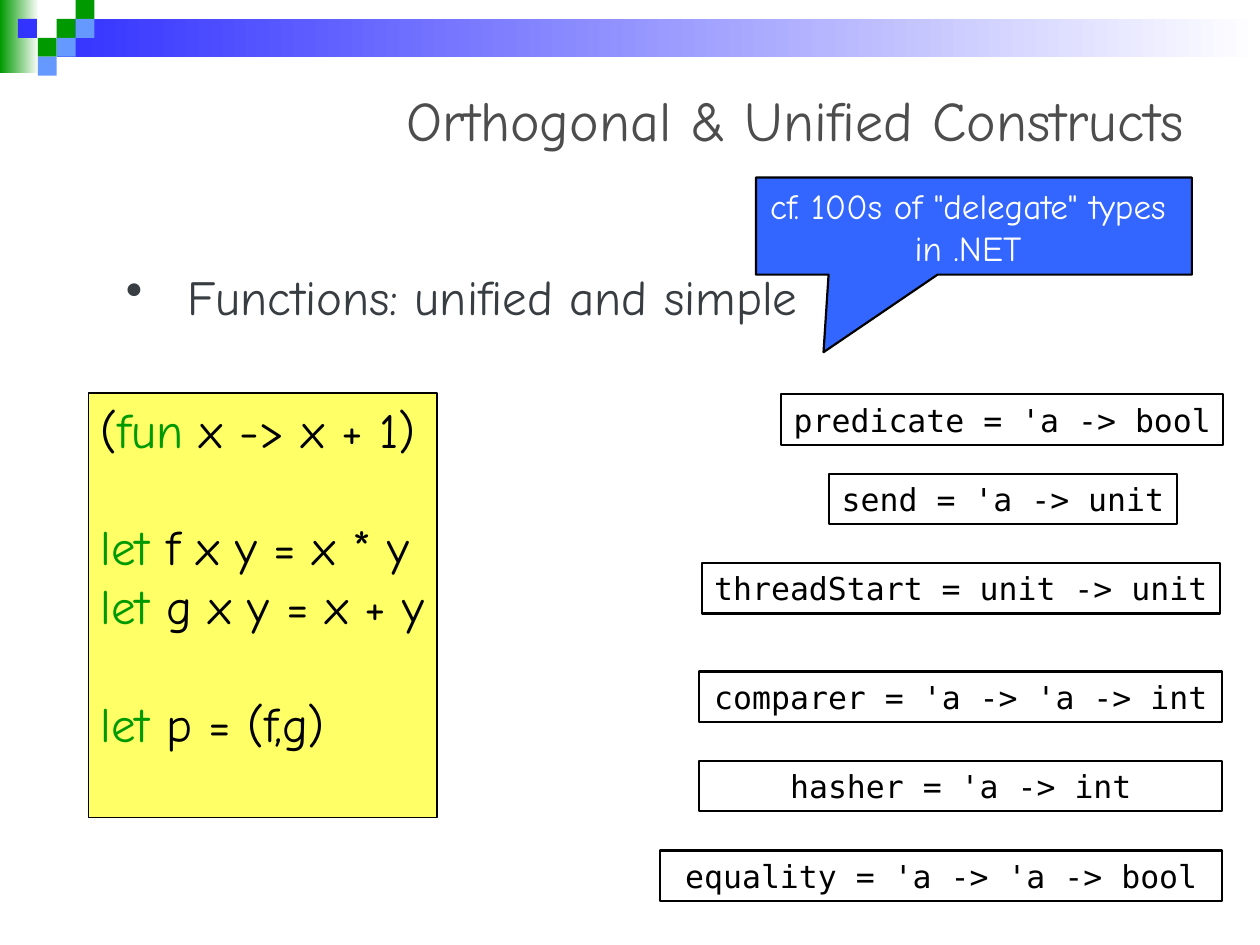
from lxml.etree import SubElement
from pptx import Presentation
from pptx.dml.color import RGBColor
from pptx.enum.shapes import MSO_SHAPE as Shape
from pptx.enum.text import MSO_ANCHOR as Anchor, PP_ALIGN as Align
from pptx.oxml.ns import qn
from pptx.util import Inches, Pt

HAND, MONO = "Comic Neue", "DejaVu Sans Mono"
BLACK, WHITE, GREEN = "000000", "FFFFFF", "009900"
BLUE, SKY = "3333FF", "6699FF"
CELL = 0.15  # side of one square in the corner pattern
LINE_PITCH = 33.6  # points from one code line to the next

# Corner squares as column, row, colour
SQUARES = [(3, 1, GREEN), (4, 0, GREEN), (4, 1, SKY), (2, 2, GREEN),
           (0.95, 1, BLUE), (3, 2, SKY), (2, 3, SKY)]

# Code lines as keyword-split parts, with the blank lines before each
CODE = [(0, ["(", "fun", " x -> x + 1)"]),
        (1, ["let", " f x y = x * y"]),
        (0, ["let", " g x y = x + y"]),
        (1, ["let", " p = (f,g)"])]
KEYWORDS = {"fun", "let"}

# Function types as left, top, width, text
TYPES = [(6.2, 3.13, 3.51, "predicate = 'a -> bool"),
         (6.58, 3.76, 2.76, "send = 'a -> unit"),
         (5.57, 4.47, 4.11, "threadStart = unit -> unit"),
         (5.55, 5.33, 4.15, "comparer = 'a -> 'a -> int"),
         (5.55, 6.04, 4.15, "hasher = 'a -> int"),
         (5.24, 6.75, 4.46, "equality = 'a -> 'a -> bool")]


def rgb(color):
    return RGBColor.from_string(color)


def style(item, size, color, name=HAND):
    item.font.size, item.font.name = Pt(size), name
    item.font.color.rgb = rgb(color)


def add_block(page, place, fill, line=None, kind=Shape.RECTANGLE):
    block = page.shapes.add_shape(kind, *map(Inches, place))
    block.shadow.inherit = False
    if isinstance(fill, tuple):
        block.fill.gradient()
        block.fill.gradient_angle = 0
        for stop, position, color in zip(block.fill.gradient_stops, (0, 1), fill):
            stop.position, stop.color.rgb = position, rgb(color)
    else:
        block.fill.solid()
        block.fill.fore_color.rgb = rgb(fill)
    if line:
        block.line.color.rgb, block.line.width = rgb(BLACK), Pt(line)
    else:
        block.line.fill.background()
    return block


def add_banner(page):
    add_block(page, (0, 0, 0.31, 0.58), (GREEN, WHITE))
    add_block(page, (3 * CELL, CELL, 10 - 3 * CELL, 2 * CELL), (BLUE, WHITE))
    for column, row, color in SQUARES:
        add_block(page, (column * CELL, row * CELL, CELL, CELL), color)


def set_title(page, text):
    title = page.shapes.title
    title.left, title.top, title.width, title.height = map(Inches, (0.5, 0.5, 9, 0.89))
    title.text_frame.text = text
    title.text_frame.vertical_anchor = Anchor.MIDDLE
    para = title.text_frame.paragraphs[0]
    para.alignment = Align.RIGHT
    style(para.runs[0], 32, "4D4D4D")


def add_bullet(page, text):
    box = page.shapes.add_textbox(*map(Inches, (0.9, 2.16, 8.27, 0.5)))
    box.text_frame.word_wrap = True
    box.text_frame.text = text
    para = box.text_frame.paragraphs[0]
    para.line_spacing = 0.8
    props = para._p.get_or_add_pPr()
    props.set("marL", str(Inches(0.49)))
    props.set("indent", str(-Inches(0.49)))
    SubElement(props, qn("a:buChar"), char="•")
    style(para.runs[0], 28, "383D42")


def add_code(page):
    frame = add_block(page, (0.7, 3.12, 2.77, 3.37), "FFFF66", 0.75).text_frame
    frame.word_wrap, frame.vertical_anchor = False, Anchor.TOP
    for index, (blanks, parts) in enumerate(CODE):
        para = frame.add_paragraph() if index else frame.paragraphs[0]
        para.alignment = Align.LEFT
        if blanks:
            para.space_before = Pt(blanks * LINE_PITCH)
        for part in parts:
            span = para.add_run()
            span.text = part
            style(span, 28, GREEN if part in KEYWORDS else BLACK)


def add_label(block, text, size, color, name):
    frame = block.text_frame
    frame.text = text
    frame.word_wrap, frame.vertical_anchor = False, Anchor.MIDDLE
    for para in frame.paragraphs:
        para.alignment = Align.CENTER
        style(para.runs[0], size, color, name)


def add_callout(page, text):
    callout = add_block(page, (6, 1.41, 3.46, 0.77), "3366FF", 1.25,
                        Shape.RECTANGULAR_CALLOUT)
    callout.adjustments[0], callout.adjustments[1] = -0.345, 1.3
    add_label(callout, text, 20, WHITE, HAND)


def main():
    deck = Presentation()
    deck.slide_width, deck.slide_height = Inches(10), Inches(7.5)
    page = deck.slides.add_slide(deck.slide_layouts[5])
    add_banner(page)
    set_title(page, "Orthogonal & Unified Constructs")
    add_bullet(page, "Functions: unified and simple")
    add_code(page)
    for left, top, width, text in TYPES:
        block = add_block(page, (left, top, width, 0.4), WHITE, 1.25)
        add_label(block, text, 18, BLACK, MONO)
    add_callout(page, 'cf. 100s of "delegate" types \nin .NET ')
    deck.save("out.pptx")


if __name__ == "__main__":
    main()
